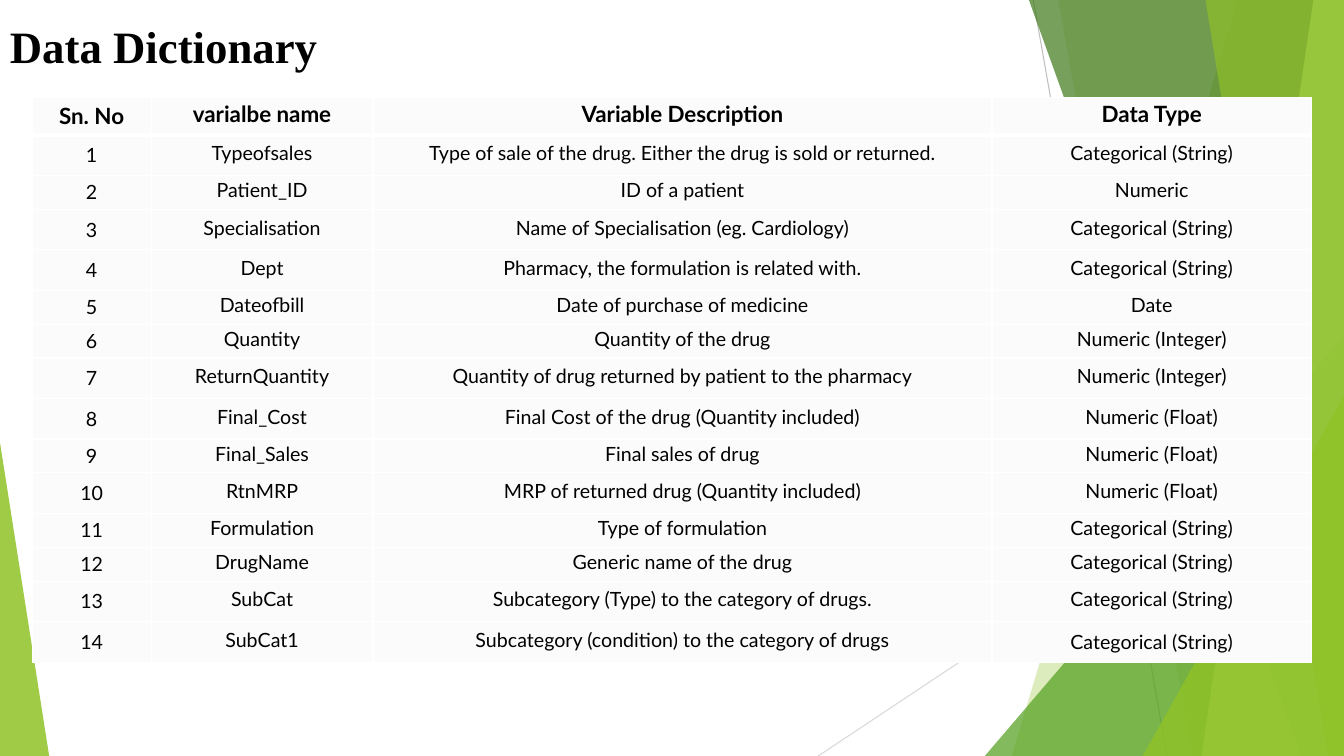
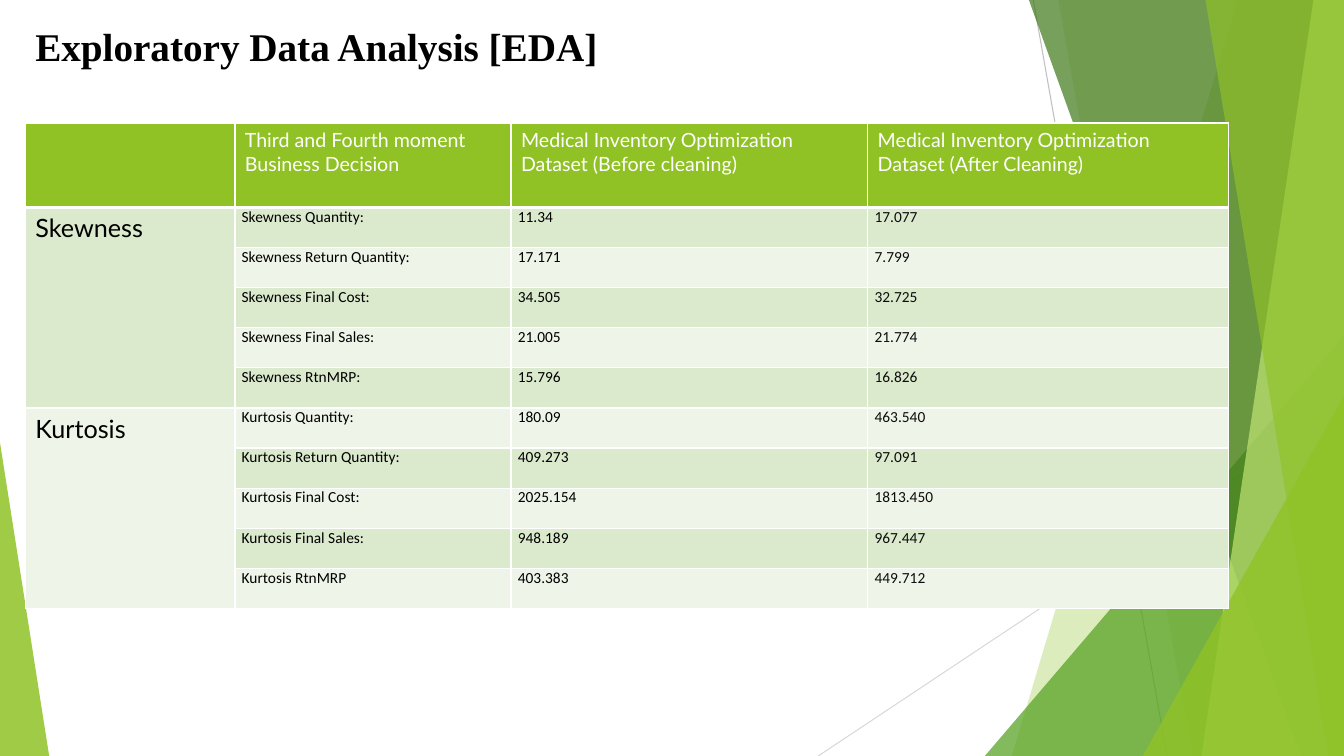
from lxml import etree
from pptx import Presentation
from pptx.dml.color import RGBColor
from pptx.enum.shapes import MSO_CONNECTOR, MSO_SHAPE
from pptx.enum.text import MSO_ANCHOR, PP_ALIGN
from pptx.oxml.ns import qn
from pptx.util import Cm, Pt

STRAIGHT, TRIANGLE = MSO_CONNECTOR.STRAIGHT, MSO_SHAPE.ISOSCELES_TRIANGLE
TOP, MIDDLE = MSO_ANCHOR.TOP, MSO_ANCHOR.MIDDLE
LEFT, CENTER = PP_ALIGN.LEFT, PP_ALIGN.CENTER

BLACK = RGBColor(0x00, 0x00, 0x00)
NEAR_BLACK = RGBColor(0x0D, 0x0D, 0x0D)
WHITE = RGBColor(0xFF, 0xFF, 0xFF)
OFF_WHITE = RGBColor(0xFB, 0xFB, 0xFB)
GRAY = RGBColor(0xBF, 0xBF, 0xBF)
LIGHT_GRAY = RGBColor(0xD9, 0xD9, 0xD9)
LIME = RGBColor(0x90, 0xC2, 0x26)
GREEN = RGBColor(0x54, 0xA0, 0x21)
DARK_GREEN = RGBColor(0x3F, 0x78, 0x19)
PALE_LIME = RGBColor(0xC0, 0xE4, 0x74)
BAND_DARK = RGBColor(0xDB, 0xE9, 0xCD)
BAND_LIGHT = RGBColor(0xEE, 0xF4, 0xE8)

TITLE_FONT, TABLE_FONT, VALUE_FONT = "Times New Roman", "Lato", "Calibri"
SLIDE_W, SLIDE_H = 33.87, 19.05

# Lengths are in centimetres throughout.
RAYS = [  # start, end, colour
    ((26.04, 0), (29.41, SLIDE_H), GRAY),
    ((SLIDE_W, 10.24), (20.62, SLIDE_H), LIGHT_GRAY),
]
# Back to front. A band reaches the right edge; its left side runs from top x to bottom x.
# A triangle stands on the bottom edge with its upright side at the left or right edge.
FACETS = [
    ("band", 31.19, 25.5, LIME, 30),
    ("band", 26.67, 30.05, LIME, 20),
    ("right", 9.05, 10.59, GREEN, 72),
    ("band", 25.93, 32.79, DARK_GREEN, 70),
    ("band", 33.1, 30.28, PALE_LIME, 70),
    ("band", 30.38, 33.48, LIME, 65),
    ("right", 5.07, 9.07, LIME, 80),
    ("left", 1.24, 7.9, LIME, 85),
]

TEXT, INTEGER, FLOAT = "Categorical (String)", "Numeric (Integer)", "Numeric (Float)"
DICTIONARY_HEADER = ("Sn. No", "varialbe name", "Variable Description", "Data Type")
TALL, SHORT = 1.02, 0.84
VARIABLES = [  # name, description, data type, row height
    ("Typeofsales", "Type of sale of the drug. Either the drug is sold or returned.", TEXT, TALL),
    ("Patient_ID", "ID of a patient", "Numeric", SHORT),
    ("Specialisation", "Name of Specialisation (eg. Cardiology)", TEXT, TALL),
    ("Dept", "Pharmacy, the formulation is related with.", TEXT, TALL),
    ("Dateofbill", "Date of purchase of medicine", "Date", SHORT),
    ("Quantity", "Quantity of the drug", INTEGER, SHORT),
    ("ReturnQuantity", "Quantity of drug returned by patient to the pharmacy", INTEGER, TALL),
    ("Final_Cost", "Final Cost of the drug (Quantity included)", FLOAT, TALL),
    ("Final_Sales", "Final sales of drug", FLOAT, SHORT),
    ("RtnMRP", "MRP of returned drug (Quantity included)", FLOAT, TALL),
    ("Formulation", "Type of formulation", TEXT, SHORT),
    ("DrugName", "Generic name of the drug", TEXT, SHORT),
    ("SubCat", "Subcategory (Type) to the category of drugs.", TEXT, TALL),
    ("SubCat1", "Subcategory (condition) to the category of drugs", TEXT, TALL),
]

MOMENTS_HEADER = (
    "",
    "Third and Fourth moment Business Decision",
    "Medical Inventory Optimization Dataset (Before cleaning)",
    "Medical Inventory Optimization Dataset (After Cleaning)",
)
MOMENTS = {  # measure: (label, before, after)
    "Skewness": [
        ("Skewness Quantity:", "11.34", "17.077"),
        ("Skewness Return Quantity:", "17.171", "7.799"),
        ("Skewness Final Cost:", "34.505", "32.725"),
        ("Skewness Final Sales:", "21.005", "21.774"),
        ("Skewness RtnMRP:", "15.796", "16.826"),
    ],
    "Kurtosis": [
        ("Kurtosis Quantity:", "180.09", "463.540"),
        ("Kurtosis Return Quantity:", "409.273", "97.091"),
        ("Kurtosis Final Cost:", "2025.154", "1813.450"),
        ("Kurtosis Final Sales:", "948.189", "967.447"),
        ("Kurtosis RtnMRP", "403.383", "449.712"),
    ],
}

# Cell margins: left, top, right, bottom
WIDE_MARGINS = (0.25, 0.13, 0.25, 0.13)
TIGHT_MARGINS = (0.03, 0.03, 0.03, 0.13)
VALUE_MARGINS = (0.17, 0, 0.17, 0)


def set_font(r, size, color, name=TABLE_FONT, bold=False):
    for key, value in {"size": Pt(size), "name": name, "bold": bold}.items():
        setattr(r.font, key, value)
    r.font.color.rgb = color


def add_facet(s, kind, a, b, color, opacity):
    if kind == "band":
        builder = s.shapes.build_freeform(Cm(a), 0)
        corners = [(SLIDE_W, 0), (SLIDE_W, SLIDE_H), (b, SLIDE_H)]
        builder.add_line_segments([(Cm(x), Cm(y)) for x, y in corners])
        shape = builder.convert_to_shape()
    else:
        left = SLIDE_W - a if kind == "right" else 0
        shape = s.shapes.add_shape(TRIANGLE, Cm(left), Cm(SLIDE_H - b), Cm(a), Cm(b))
        shape.adjustments[0] = 1 if kind == "right" else 0
    shape.shadow.inherit = False
    shape.line.fill.background()
    shape.fill.solid()
    shape.fill.fore_color.rgb = color
    clr = shape.element.spPr.find(qn("a:solidFill")).find(qn("a:srgbClr"))
    etree.SubElement(clr, qn("a:alpha")).set("val", str(opacity * 1000))


def add_backdrop(s):
    for start, end, color in RAYS:
        ray = s.shapes.add_connector(STRAIGHT, *(Cm(v) for v in start + end))
        ray.line.color.rgb = color
        ray.line.width = Pt(0.75)
        etree.SubElement(ray.element.spPr, qn("a:effectLst"))
    for facet in FACETS:
        add_facet(s, *facet)


def add_titled_slide(prs, title, left, top, height, size):
    s = prs.slides.add_slide(prs.slide_layouts[6])
    add_backdrop(s)
    tf = s.shapes.add_textbox(Cm(left), Cm(top), Cm(29.21), Cm(height)).text_frame
    tf.word_wrap = True
    tf.vertical_anchor = MIDDLE
    p = tf.paragraphs[0]
    p.line_spacing = 0.9
    r = p.add_run()
    r.text = title
    set_font(r, size, BLACK, TITLE_FONT, True)
    return s


def add_plain_table(s, left, top, widths, heights):
    frame = s.shapes.add_table(len(heights), len(widths), Cm(left), Cm(top),
                               Cm(sum(widths)), Cm(sum(heights)))
    table = frame.table
    table.first_row = table.horz_banding = False
    for column, width in zip(table.columns, widths):
        column.width = Cm(width)
    for row, height in zip(table.rows, heights):
        row.height = Cm(height)
    return table


def style_cell(cell, fill, header=False):
    """Draw white borders, thicker below a header, and fill the cell."""
    tc_pr = cell._tc.get_or_add_tcPr()
    for side in "LRTB":
        width = Pt(3 if header and side == "B" else 1)
        ln = etree.SubElement(tc_pr, qn("a:ln" + side), w=str(width))
        solid = etree.SubElement(ln, qn("a:solidFill"))
        etree.SubElement(solid, qn("a:srgbClr"), val=str(WHITE))
    cell.fill.solid()
    cell.fill.fore_color.rgb = fill


def write_cell(cell, text, size, color, name=TABLE_FONT, bold=False,
               margins=WIDE_MARGINS, align=LEFT, anchor=TOP):
    for side, margin in zip(("left", "top", "right", "bottom"), margins):
        setattr(cell, "margin_" + side, Cm(margin))
    cell.vertical_anchor = anchor
    p = cell.text_frame.paragraphs[0]
    p.alignment = align
    if text:
        r = p.add_run()
        r.text = text
        set_font(r, size, color, name, bold)


def add_dictionary_slide(prs):
    s = add_titled_slide(prs, "Data Dictionary", 0, 0.48, 1.5, 32)
    rows = [DICTIONARY_HEADER]
    rows += [(str(n), *variable[:3]) for n, variable in enumerate(VARIABLES, 1)]
    heights = [0.94] + [variable[3] for variable in VARIABLES]
    table = add_plain_table(s, 0.81, 2.46, (3, 5.59, 15.6, 8.05), heights)
    last_cell = (len(rows) - 1, 3)
    for i, row in enumerate(rows):
        for j, text in enumerate(row):
            cell = table.cell(i, j)
            header = i == 0
            wide = j == 0 or (i, j) == last_cell
            style_cell(cell, OFF_WHITE, header)
            write_cell(cell, text, 16 if header else 14, BLACK, bold=header,
                       margins=WIDE_MARGINS if wide else TIGHT_MARGINS,
                       align=CENTER, anchor=MIDDLE)


def add_moments_slide(prs):
    s = add_titled_slide(prs, "Exploratory Data Analysis [EDA]", 0.64, 0.56, 1.32, 28)
    count = sum(len(group) for group in MOMENTS.values())
    table = add_plain_table(s, 0.64, 3.1, (5.28, 6.96, 8.99, 9.09), [2.13] + [1.01] * count)
    for j, text in enumerate(MOMENTS_HEADER):
        style_cell(table.cell(0, j), LIME, True)
        write_cell(table.cell(0, j), text, 14, WHITE)
    i = 1
    for measure, group in MOMENTS.items():
        first = table.cell(i, 0)
        write_cell(first, measure, 18, BLACK)
        for values in group:
            for j in range(4):
                style_cell(table.cell(i, j), BAND_DARK if i % 2 else BAND_LIGHT)
            for j, text in enumerate(values, 1):
                write_cell(table.cell(i, j), text, 11, NEAR_BLACK if j == 3 else BLACK,
                           VALUE_FONT, margins=VALUE_MARGINS)
            i += 1
        first.merge(table.cell(i - 1, 0))


def main():
    prs = Presentation()
    prs.slide_width, prs.slide_height = Cm(SLIDE_W), Cm(SLIDE_H)
    add_dictionary_slide(prs)
    add_moments_slide(prs)
    prs.save("out.pptx")


if __name__ == "__main__":
    main()
